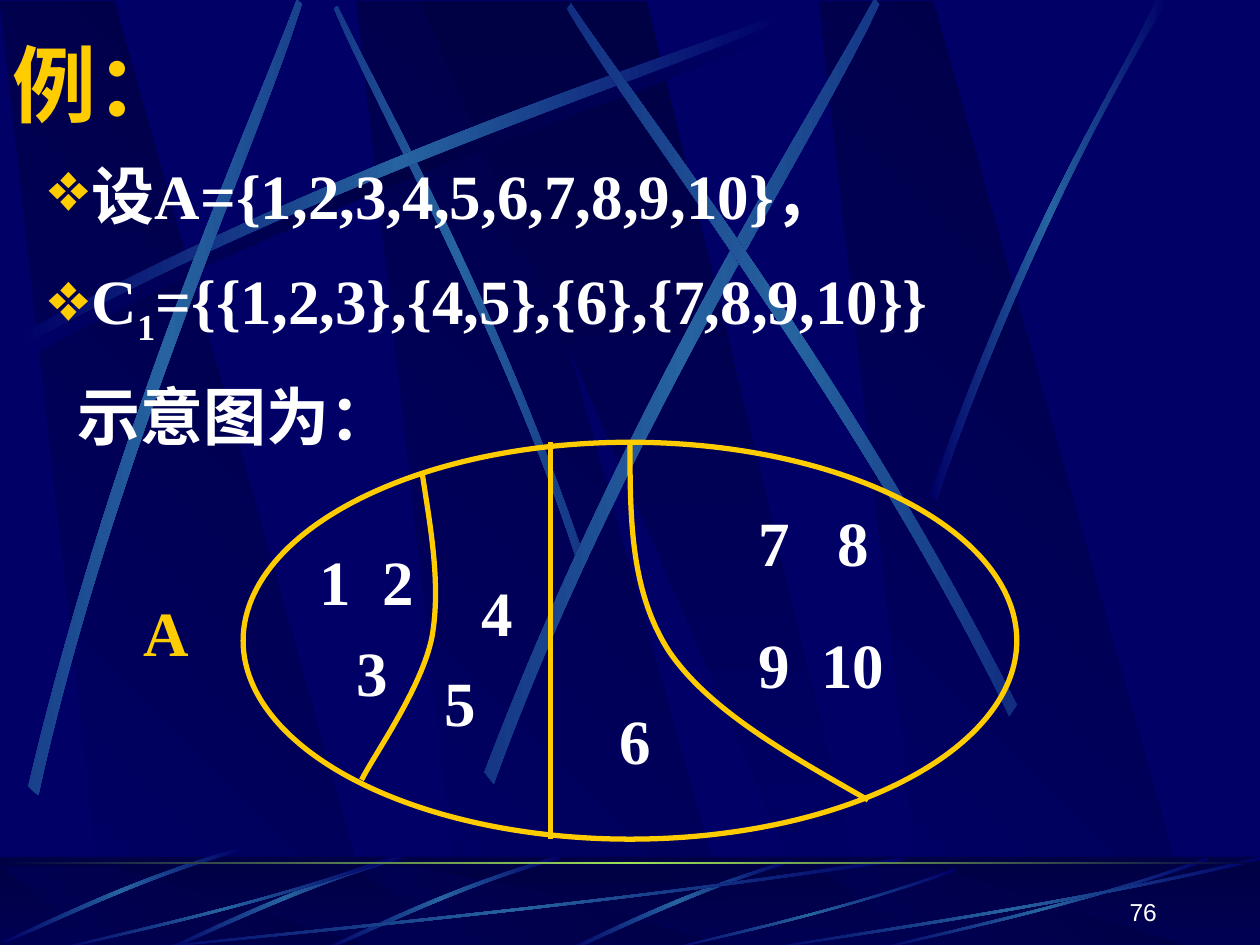
from dataclasses import dataclass

from lxml import etree
from pptx import Presentation
from pptx.dml.color import RGBColor
from pptx.enum.shapes import MSO_CONNECTOR, MSO_SHAPE
from pptx.enum.text import MSO_ANCHOR, PP_ALIGN
from pptx.oxml import parse_xml
from pptx.oxml.ns import nsdecls, qn
from pptx.util import Inches, Pt


@dataclass(frozen=True)
class Theme:
    navy: str = "000066"
    dark: str = "000044"
    beam: str = "2663A0"
    glow: str = "9CE157"
    gold: str = "FFCC00"
    white: str = "FFFFFF"
    serif: str = "Times New Roman"
    sans: str = "Arial"
    cjk: str = "Noto Sans CJK SC"
    title: int = 48
    body: int = 36
    number: int = 14
    outline: int = 3


THEME = Theme()
LIGHT = (THEME.navy, THEME.beam, THEME.navy)
SHADE = (THEME.navy, THEME.dark, THEME.navy)

# Outlines in a unit box. A streak is two Bezier curves, there and back.
PANEL = [(.28, 1), (1, 1), (.3, 0), (0, 0)]
WIDE_PANEL = [(0, 0), (.9, 1), (1, 1), (.5, 0)]
BEAM = [(0, .96), (.43, .43), (.83, .15), (1, 0),
        (1, .02), (.84, .19), (.39, .5), (0, 1)]
RAY = [(0, .99), (.4, .44), (.79, .17), (.95, 0),
       (1, 0), (.52, .37), (.16, .81), (.03, 1)]
BLADE = [(1, .04), (.57, .57), (.17, .85), (0, 1),
         (0, .99), (.17, .81), (.62, .51), (1, 0)]
SLIVER = [(1, 0), (.5, .37), (.16, .82), (0, .99),
          (.03, 1), (.23, .77), (.68, .25), (1, .04)]
STREAK_KINDS = "CLC"
SPREAD_SPACE = " "


def freeform(page, points, kinds, close=True):
    """Draw points as lines (L, one point each) and Bezier curves (C, three points each)."""
    corners = [(Inches(x), Inches(y)) for x, y in points]
    builder = page.shapes.build_freeform(*corners[0], scale=1.0)
    builder.add_line_segments(corners[1:], close=close)
    shape = builder.convert_to_shape()
    shape.shadow.inherit = False
    segments = iter(list(shape._element.iter(qn("a:lnTo"))))
    for kind in kinds:
        first = next(segments)
        if kind == "C":
            first.tag = qn("a:cubicBezTo")
            for _ in range(2):
                other = next(segments)
                first.append(other[0])
                other.getparent().remove(other)
    return shape


def fill_gradient(shape, colors, angle=0):
    """Evenly spaced stops; the direction stays with the page when the shape turns."""
    shape.line.fill.background()
    shape.fill.gradient()
    old = shape._element.spPr.find(qn("a:gradFill"))
    stops = "".join(f'<a:gs pos="{100000 * i // (len(colors) - 1)}"><a:srgbClr val="{color}"/></a:gs>'
                    for i, color in enumerate(colors))
    new = parse_xml(f'<a:gradFill {nsdecls("a")} rotWithShape="0"><a:gsLst>{stops}</a:gsLst>'
                    f'<a:lin ang="{angle * 60000}" scaled="0"/></a:gradFill>')
    old.getparent().replace(old, new)


def unit_shape(page, box, points, kinds, colors, angle=0, turn=0, flip=False):
    left, top, width, height = box
    placed = [(left + width * (1 - x if flip else x), top + height * y) for x, y in points]
    shape = freeform(page, placed, kinds)
    shape.rotation = turn
    fill_gradient(shape, colors, angle)


def streak(page, box, outline, colors=LIGHT, turn=0, flip=False):
    unit_shape(page, box, outline, STREAK_KINDS, colors, turn=turn, flip=flip)


def rectangle(page, box):
    shape = page.shapes.add_shape(MSO_SHAPE.RECTANGLE, *map(Inches, box))
    shape.shadow.inherit = False
    shape.line.fill.background()
    return shape


def panels(page, top, height):
    for left in (2.83, 0, 6.5):
        unit_shape(page, (left, top, 3.02, height), PANEL, "LLL", (THEME.navy, THEME.dark), 315)
    unit_shape(page, (3.33, top, 3.61, height), WIDE_PANEL, "LLL", (THEME.dark, THEME.navy), 90)


def backdrop(page):
    panels(page, .01, 7.52)
    for box, colors, turn, flip in (
            ((.2, .18, 6.08, 2.67), SHADE, 0, False),
            ((1.41, 1.35, 4.42, 1.75), LIGHT, 45, True),
            ((.14, .1, 6.08, 2.67), LIGHT, 0, False),
            ((-1.71, 1.82, 6.08, 2.67), LIGHT, 311.7, False),
            ((2.31, 1.6, 6.24, 3.01), LIGHT, 321.6, False),
            ((3.23, 1.52, 6.08, 2.67), LIGHT, 34.7, True)):
        streak(page, box, BEAM, colors, turn, flip)
    streak(page, (7.38, 0, 1.89, 3.97), RAY)


def floor(page, box):
    left, top, width, height = box
    fill_gradient(rectangle(page, box), (THEME.dark, THEME.navy), 90)
    panels(page, 6.88, .66)
    veil = rectangle(page, box)
    veil.fill.solid()
    veil.fill.fore_color.rgb = RGBColor.from_string(THEME.dark)
    color = veil._element.spPr.find(qn("a:solidFill"))[0]
    etree.SubElement(color, qn("a:alpha")).set("val", "50000")
    streak(page, (4.48, 6.82, 1.8, .73), SLIVER)
    for x, y in ((2.58, 6.76), (1.33, 6.76), (.04, 6.7)):
        streak(page, (x, y, 1.84, .83), BEAM, turn=315, flip=True)
    for x, y, reach in ((1, 6.8, 6.17), (.42, 6.8, 2.67), (5.27, 6.89, 2.31),
                        (6.92, 6.8, 2.67), (6, 6.8, 4)):
        streak(page, (x, y, reach, 7.55 - y), BLADE)
    fill_gradient(rectangle(page, (left, top + .04, width, .02)),
                  (THEME.dark, THEME.glow, THEME.dark))


def text_box(page, box, lines, size, color, font=THEME.serif, bold=True):
    """Each line is a string, or a tuple of strings that become runs."""
    frame = page.shapes.add_textbox(*map(Inches, box)).text_frame
    frame.word_wrap = True
    for index, line in enumerate(lines):
        para = frame.paragraphs[0] if index == 0 else frame.add_paragraph()
        for piece in line if isinstance(line, tuple) else (line,):
            span = para.add_run()
            span.text = piece
            span.font.size, span.font.bold, span.font.name = Pt(size), bold, font
            span.font.color.rgb = RGBColor.from_string(color)
            etree.SubElement(span._r.rPr, qn("a:ea")).set("typeface", THEME.cjk)
    return frame


def indent(para, margin, first=0):
    props = para._p.get_or_add_pPr()
    props.set("marL", str(Inches(margin)))
    props.set("indent", str(Inches(first)))
    return props


def add_bullet(para):
    props = indent(para, .38, -.34)
    color = etree.SubElement(etree.SubElement(props, qn("a:buClr")), qn("a:srgbClr"))
    color.set("val", THEME.gold)
    etree.SubElement(props, qn("a:buSzPct")).set("val", "110000")
    etree.SubElement(props, qn("a:buChar")).set("char", "❖")


def statement(page, box):
    frame = text_box(page, box, ["设A={1,2,3,4,5,6,7,8,9,10}，",
                                 ("C", "1", "={{1,2,3},{4,5},{6},{7,8,9,10}}"),
                                 "示意图为："], THEME.body, THEME.white)
    given, partition, caption = frame.paragraphs
    for para in frame.paragraphs:
        para.line_spacing = 1.2
    partition.space_before, caption.space_before = Pt(7.2), Pt(8.5)
    for para in (given, partition):
        add_bullet(para)
    indent(caption, .27)
    partition.runs[1].font._element.set("baseline", "-25000")


def region_label(page, box, rows, color=THEME.white):
    """Rows are (indent, text, points added to each separate space)."""
    frame = text_box(page, box, [text for _, text, _ in rows], THEME.body, color)
    for index, (para, (margin, _, spread)) in enumerate(zip(frame.paragraphs, rows)):
        para.line_spacing = 1.2
        if index and margin == rows[0][0]:
            para.space_before = Pt(18)
        indent(para, 0, margin)
        for span in para.runs:
            if span.text == SPREAD_SPACE:
                span.font._element.set("spc", str(spread * 100))


def gold_outline(shape):
    shape.line.color.rgb = RGBColor.from_string(THEME.gold)
    shape.line.width = Pt(THEME.outline)


def partition_diagram(page, box):
    left, top, width, height = box
    oval = page.shapes.add_shape(MSO_SHAPE.OVAL, *map(Inches, box))
    oval.shadow.inherit = False
    wall = page.shapes.add_connector(MSO_CONNECTOR.STRAIGHT, Inches(left + 2.44), Inches(top),
                                     Inches(left + 2.44), Inches(top + height))
    etree.SubElement(wall._element.spPr, qn("a:effectLst"))
    bend = [(1.42, .24), (1.49, .69), (1.57, 1.13), (1.5, 1.54),
            (1.42, 1.95), (1.04, 2.48), (.94, 2.68)]
    sweep = [(3.07, 0), (3.07, .59), (3.07, 1.18), (3.38, 1.66),
             (3.7, 2.13), (4.33, 2.48), (4.96, 2.84)]
    dividers = [freeform(page, [(left + x, top + y) for x, y in points], "CC", close=False)
                for points in (bend, sweep)]
    for shape in (oval, *dividers):
        shape.fill.background()
    for shape in (oval, wall, *dividers):
        gold_outline(shape)
    for x, y, w, h, rows in (
            (.16, .63, 1.34, 1.54, [(.35, ("1", SPREAD_SPACE, "2"), 9), (.64, "3", 0)]),
            (1.5, .87, .94, 1.54, [(.29, "4 5", 0)]),
            (2.6, 1.89, 1.26, .82, [(.29, "6", 0)]),
            (3.7, .32, 2.76, 1.84, [(.29, ("7", SPREAD_SPACE, "8"), 18),
                                    (.29, ("9", SPREAD_SPACE, "10"), 9)])):
        region_label(page, (left + x, top + y, w, h), rows)
    region_label(page, (left - 1.18, top + 1.03, 1.18, .82), [(.29, "A", 0)], THEME.gold)


def main():
    deck = Presentation()
    deck.slide_width, deck.slide_height = Inches(10), Inches(7.5)
    page = deck.slides.add_slide(deck.slide_layouts[6])
    page.background.fill.solid()
    page.background.fill.fore_color.rgb = RGBColor.from_string(THEME.navy)
    backdrop(page)
    floor(page, (0, 6.8, 10, .75))
    title = text_box(page, (0, .21, 9.5, .9), ["例："], THEME.title, THEME.gold, THEME.cjk)
    title.vertical_anchor = MSO_ANCHOR.MIDDLE
    statement(page, (.25, 1.07, 9.5, 5.68))
    partition_diagram(page, (1.93, 3.51, 6.14, 3.15))
    number = text_box(page, (7.2, 6.9, 2.08, .5), ["76"], THEME.number, THEME.white,
                      THEME.sans, bold=False)
    number.vertical_anchor = MSO_ANCHOR.BOTTOM
    number.paragraphs[0].alignment = PP_ALIGN.RIGHT
    deck.save("out.pptx")


if __name__ == "__main__":
    main()
